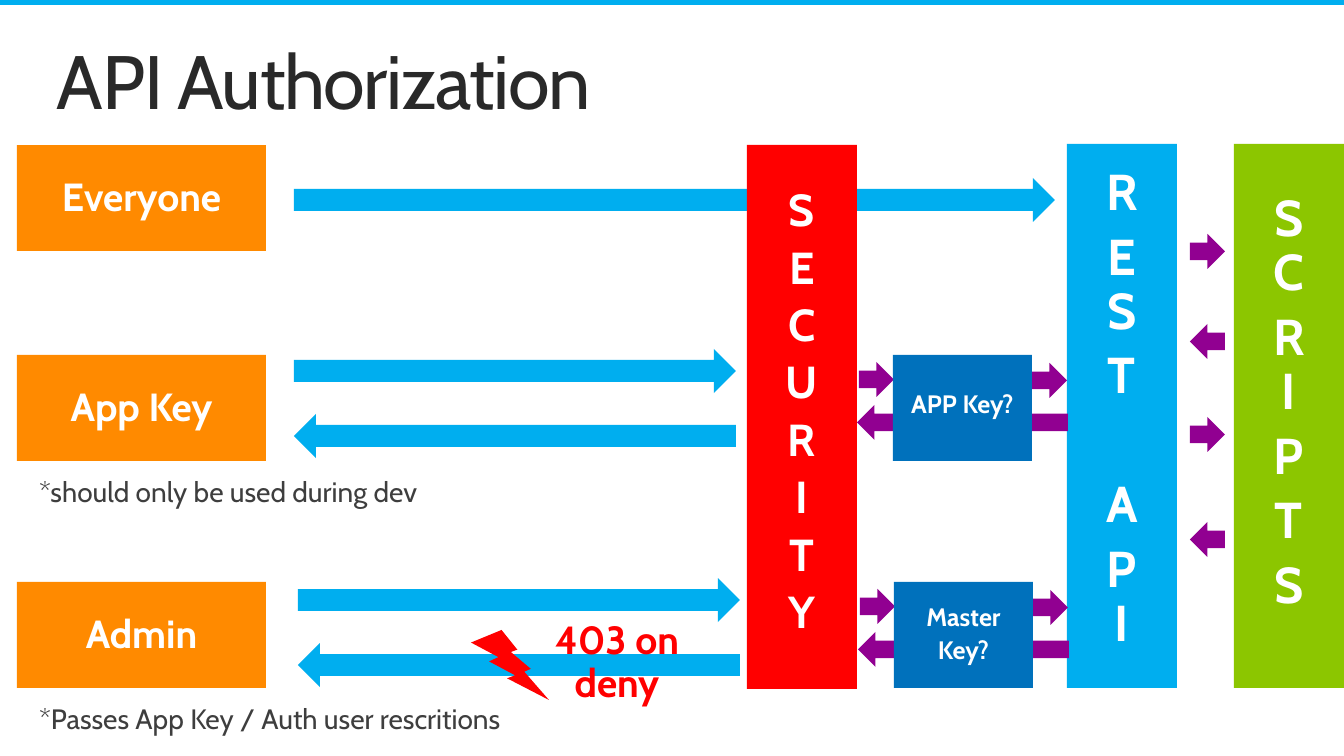
from pptx import Presentation
from pptx.dml.color import RGBColor
from pptx.enum.shapes import MSO_SHAPE
from pptx.enum.text import PP_ALIGN
from pptx.util import Emu, Pt

SCALE = 12192000 / 1344
FONT = "Cabin"
COLORS = {
    "blue": "00AEEF", "green": "8CC600", "red": "FF0000", "orange": "FF8A00",
    "purple": "910091", "navy": "0071BC", "white": "FFFFFF",
    "title": "292929", "note": "3E3E3E",
}


def pixels(*values):
    """Turn pixel lengths into EMU."""
    return [Emu(round(value * SCALE)) for value in values]


def add_filled(slide, kind, box, color):
    """Draw a flat preset shape without outline."""
    shape = slide.shapes.add_shape(kind, *pixels(*box))
    shape.shadow.inherit = False
    shape.fill.solid()
    shape.fill.fore_color.rgb = RGBColor.from_string(COLORS[color])
    shape.line.fill.background()


def add_text(slide, box, text, size, color, bold=True, align=PP_ALIGN.CENTER):
    """Write one paragraph per line; an empty line widens the gap before the next."""
    frame = slide.shapes.add_textbox(*pixels(*box)).text_frame
    frame.word_wrap = True
    frame.margin_left = frame.margin_top = frame.margin_right = frame.margin_bottom = 0
    paragraph, gap = frame.paragraphs[0], 0.2
    for index, line in enumerate(text.split("\n")):
        if not line:
            gap = 1.47
            continue
        if index:
            paragraph = frame.add_paragraph()
        paragraph.text = line
        paragraph.alignment = align
        paragraph.line_spacing = 0.9
        paragraph.space_before = Pt(size * gap)
        paragraph.font.name = FONT
        paragraph.font.size = Pt(size)
        paragraph.font.bold = bold
        paragraph.font.color.rgb = RGBColor.from_string(COLORS[color])
        gap = 0.2
    return frame


def add_block(slide, box, color, text, size, inset, text_top, text_height):
    """Draw a rectangle with a white label inset from its sides."""
    left, top, width, height = box
    add_filled(slide, MSO_SHAPE.RECTANGLE, box, color)
    label_box = (left + inset, top + text_top, width - 2 * inset, text_height)
    add_text(slide, label_box, text, size, "white")


def add_header(slide, box):
    """Draw the top rule and the slide title."""
    left, top, width, height = box
    add_filled(slide, MSO_SHAPE.RECTANGLE, (left, top, width, 5), "blue")
    frame = add_text(slide, (left + 57, top + 44, 1229, 84), "API Authorization", 54,
                     "title", False, PP_ALIGN.LEFT)
    frame.paragraphs[0].runs[0].font._element.set("spc", "-100")


def add_column(slide, box, color, letters, size, text_top, text_height):
    """Draw a tall layer with its name spelled downwards."""
    add_block(slide, box, color, letters, size, 15, text_top, text_height)


def add_caller(slide, box, name, note=None, arrow_shift=(0, 0)):
    """Draw a caller, its request and response arrows, and its footnote."""
    left, top, width, height = box
    add_block(slide, box, "orange", name, 28, 13, 33, 43)
    if note:
        shift_x, shift_y = arrow_shift
        arrow_left, arrow_top = left + 277 + shift_x, top - 6 + shift_y
        for kind, offset in ((MSO_SHAPE.RIGHT_ARROW, 0), (MSO_SHAPE.LEFT_ARROW, 65)):
            add_filled(slide, kind, (arrow_left, arrow_top + offset, 442, 44), "blue")
        add_text(slide, (left + 22, top + height + 17, 570, 31), note, 20, "note",
                 False, PP_ALIGN.LEFT)


def add_key_check(slide, box, question, text_top, text_height):
    """Draw a key check with the arrows passing in, out and back."""
    left, top, width, height = box
    add_filled(slide, MSO_SHAPE.LEFT_ARROW, (left - 36, top + 50, 211, 35), "purple")
    for offset_x, offset_y in ((-34, 7), (width, 8)):
        arrow_box = (left + offset_x, top + offset_y, 35, 35)
        add_filled(slide, MSO_SHAPE.RIGHT_ARROW, arrow_box, "purple")
    add_block(slide, box, "navy", question, 18, 6, text_top, text_height)


def add_script_calls(slide, box):
    """Draw the alternating arrows between the API and the scripts."""
    left, top, width, height = box
    kinds = (MSO_SHAPE.RIGHT_ARROW, MSO_SHAPE.LEFT_ARROW) * 2
    for kind, offset in zip(kinds, (0, 90, 183, 288)):
        add_filled(slide, kind, (left, top + offset, width, width), "purple")


def add_denial(slide, box):
    """Draw the lightning bolt and the denial message."""
    left, top, width, height = box
    add_filled(slide, MSO_SHAPE.LIGHTNING_BOLT, (left, top + 9, 78, 70), "red")
    add_text(slide, (left + 71, top, width - 71, height), "403 on deny", 28, "red")


def build_slide(presentation):
    """Place every region of the authorization diagram."""
    slide = presentation.slides.add_slide(presentation.slide_layouts[6])
    add_header(slide, (0, 0, 1344, 128))
    add_filled(slide, MSO_SHAPE.RIGHT_ARROW, (294, 178, 761, 44), "blue")
    add_column(slide, (1067, 144, 110, 544), "blue", "R\nE\vS\nT\n\nA\nP\vI", 36, 23, 502)
    add_column(slide, (1234, 144, 110, 544), "green", "S\vC\nR\vI\nP\nT\nS", 36, 49, 434)
    add_column(slide, (747, 145, 110, 544), "red", "\n".join("SECURITY"), 32, 43, 468)
    add_caller(slide, (17, 145, 249, 106), "Everyone")
    add_caller(slide, (17, 355, 249, 106), "App Key", "*should only be used during dev")
    add_caller(slide, (17, 582, 249, 106), "Admin",
               "*Passes App Key / Auth user rescritions", (4, 2))
    add_key_check(slide, (893, 355, 139, 106), "APP Key?", 37, 28)
    add_key_check(slide, (894, 582, 139, 106), "Master\nKey?", 23, 61)
    add_script_calls(slide, (1190, 234, 35, 323))
    add_denial(slide, (471, 621, 221, 87))


presentation = Presentation()
presentation.slide_width, presentation.slide_height = pixels(1344, 756)
build_slide(presentation)
presentation.save("out.pptx")
